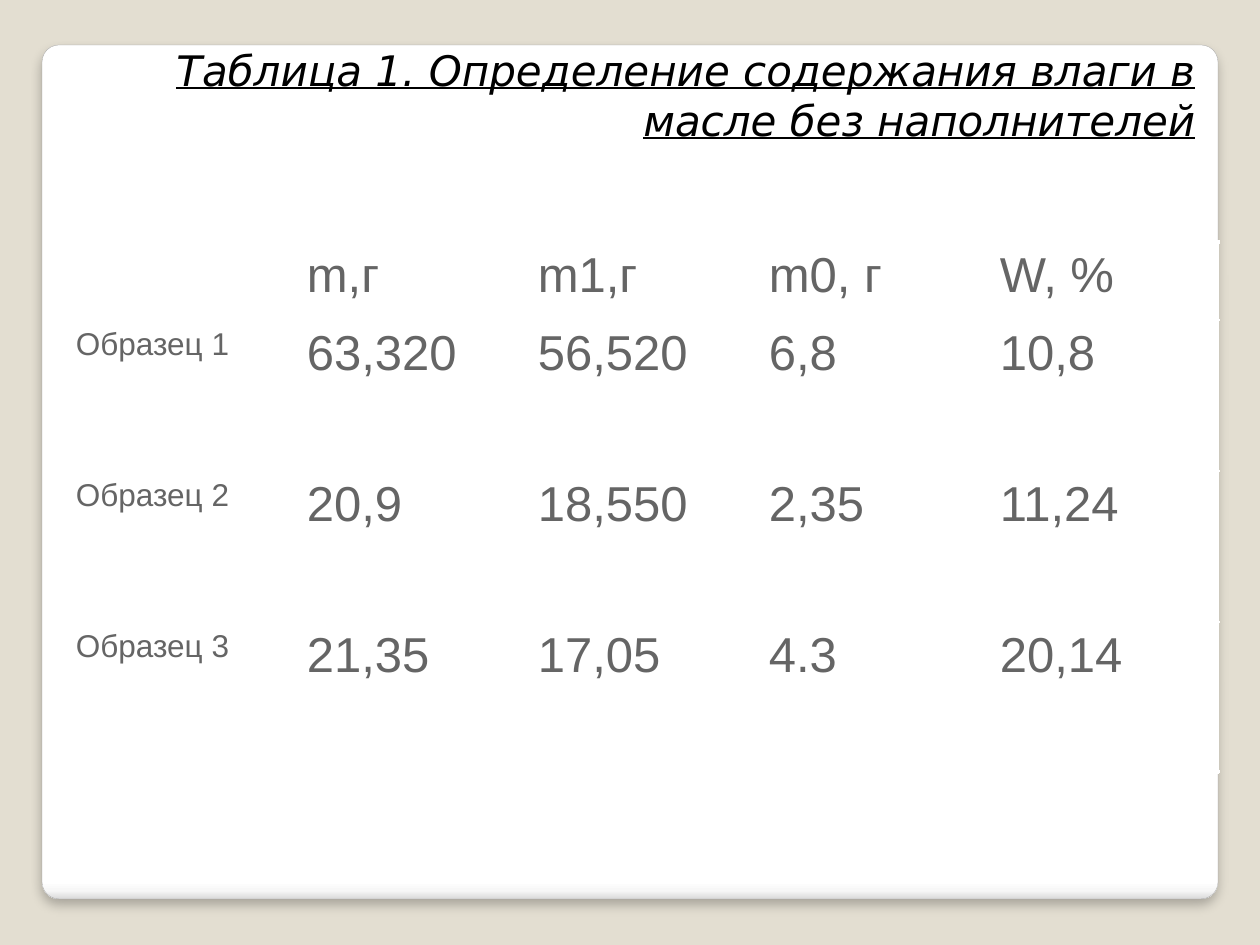
from lxml import etree
from pptx import Presentation
from pptx import util as u
from pptx.dml.color import RGBColor
from pptx.enum import shapes, text
from pptx.oxml import parse_xml
from pptx.oxml.ns import nsdecls, qn

EMU_PER_PX = 914400 / 126
SAND = RGBColor(0xE3, 0xDE, 0xD1)
WHITE = RGBColor(0xFF, 0xFF, 0xFF)
MIST = RGBColor(0xF7, 0xF7, 0xF7)
SILVER = RGBColor(0xDA, 0xDA, 0xDA)
EDGE_GREY = RGBColor(0xA4, 0xA4, 0xA4)
TEXT_GREY = RGBColor(0x65, 0x65, 0x65)
BLACK = RGBColor(0, 0, 0)

TITLE = "Таблица 1. Определение содержания влаги в масле без наполнителей"
MOISTURE = [
    ["", "m,г", "m1,г", "m0, г", "W, %"],
    ["Образец 1", "63,320", "56,520", "6,8", "10,8"],
    ["Образец 2", "20,9", "18,550", "2,35", "11,24"],
    ["Образец 3", "21,35", "17,05", "4.3", "20,14"],
]
COLUMN_WIDTH = 231
ROW_HEIGHTS = [78, 151, 151, 150]
OUTER_BORDER, INNER_BORDER = 2.15, 0.91


def px(value):
    return u.Emu(round(value * EMU_PER_PX))


def apply(target, values):
    for name, value in values.items():
        setattr(target, name, value)


class SlideBuilder:
    title_font = {"name": "DejaVu Sans", "size": u.Pt(24), "italic": True, "underline": True}
    value_font = {"name": "Arial", "size": u.Pt(28)}
    label_font = {"name": "Arial", "size": u.Pt(18)}

    def __init__(self, slide):
        self.slide = slide

    def background(self, color):
        fill = self.slide.background.fill
        fill.solid()
        fill.fore_color.rgb = color

    def set_words(self, frame, words, font, color, **paragraph_format):
        paragraph = frame.paragraphs[0]
        paragraph.text = words
        apply(paragraph, paragraph_format)
        apply(paragraph.font, font)
        paragraph.font.color.rgb = color

    def panel(self, left, top, width, height, stops):
        panel = self.slide.shapes.add_shape(
            shapes.MSO_SHAPE.ROUNDED_RECTANGLE, *map(px, (left, top, width, height)))
        panel.adjustments[0] = 0.02
        panel.line.color.rgb = EDGE_GREY
        panel.line.width = u.Pt(0.16)
        # Vertical gradient that darkens only at the lower edge
        panel.fill.gradient()
        panel.fill.gradient_angle = 270
        stop_list = panel._element.spPr.find(qn("a:gradFill")).find(qn("a:gsLst"))
        for stop in list(stop_list):
            stop_list.remove(stop)
        for percent, color in stops:
            stop = etree.SubElement(stop_list, qn("a:gs"), pos=str(percent * 1000))
            etree.SubElement(stop, qn("a:srgbClr"), val=str(color))
        # Soft shadow straight down
        panel.shadow.inherit = False
        effects = panel._element.spPr.find(qn("a:effectLst"))
        effects.append(parse_xml(
            f'<a:outerShdw {nsdecls("a")} blurRad="{u.Pt(6)}" dist="{u.Pt(4)}" '
            'dir="5400000" algn="t" rotWithShape="0">'
            '<a:srgbClr val="000000"><a:alpha val="25000"/></a:srgbClr></a:outerShdw>'))

    def borders(self, cell, outer_sides):
        properties = cell._tc.get_or_add_tcPr()
        for side in "LRTB":
            width = u.Pt(OUTER_BORDER if side in outer_sides else INNER_BORDER)
            properties.append(parse_xml(
                f'<a:ln{side} {nsdecls("a")} w="{width}"><a:solidFill>'
                f'<a:srgbClr val="{WHITE}"/></a:solidFill></a:ln{side}>'))

    def table(self, left, top, rows, column_width, row_heights):
        last_row, last_column = len(rows) - 1, len(rows[0]) - 1
        table = self.slide.shapes.add_table(
            len(rows), len(rows[0]), px(left), px(top),
            px(column_width * len(rows[0])), px(sum(row_heights))).table
        apply(table, {"first_row": False, "horz_banding": False})
        for column in table.columns:
            column.width = px(column_width)
        for r, (row, height) in enumerate(zip(rows, row_heights)):
            table.rows[r].height = px(height)
            for c, words in enumerate(row):
                cell = table.cell(r, c)
                edges = {"L": c == 0, "R": c == last_column, "T": r == 0, "B": r == last_row}
                self.borders(cell, [side for side, outer in edges.items() if outer])
                cell.fill.background()
                apply(cell, {"margin_left": px(13), "margin_right": px(13),
                             "margin_top": px(10 if c else 9), "margin_bottom": px(6)})
                self.set_words(cell.text_frame, words,
                               self.value_font if c else self.label_font,
                               TEXT_GREY, line_spacing=0.93)

    def title(self, left, top, width, height, words):
        frame = self.slide.shapes.add_textbox(
            *map(px, (left, top, width, height))).text_frame
        apply(frame, {"word_wrap": True, "vertical_anchor": text.MSO_ANCHOR.MIDDLE,
                      "auto_size": text.MSO_AUTO_SIZE.SHAPE_TO_FIT_TEXT})
        self.set_words(frame, words, self.title_font, BLACK, alignment=text.PP_ALIGN.RIGHT)


def main():
    deck = Presentation()
    deck.slide_width, deck.slide_height = px(1260), px(945)
    builder = SlideBuilder(deck.slides.add_slide(deck.slide_layouts[6]))

    # Backdrop and rounded panel
    builder.background(SAND)
    builder.panel(42, 45, 1176, 854, [(0, WHITE), (98, WHITE), (99, MIST), (100, SILVER)])

    # Moisture table and its heading
    builder.table(63, 242, MOISTURE, COLUMN_WIDTH, ROW_HEIGHTS)
    builder.title(21, 38, 1187, 113, TITLE)

    deck.save("out.pptx")


if __name__ == "__main__":
    main()
